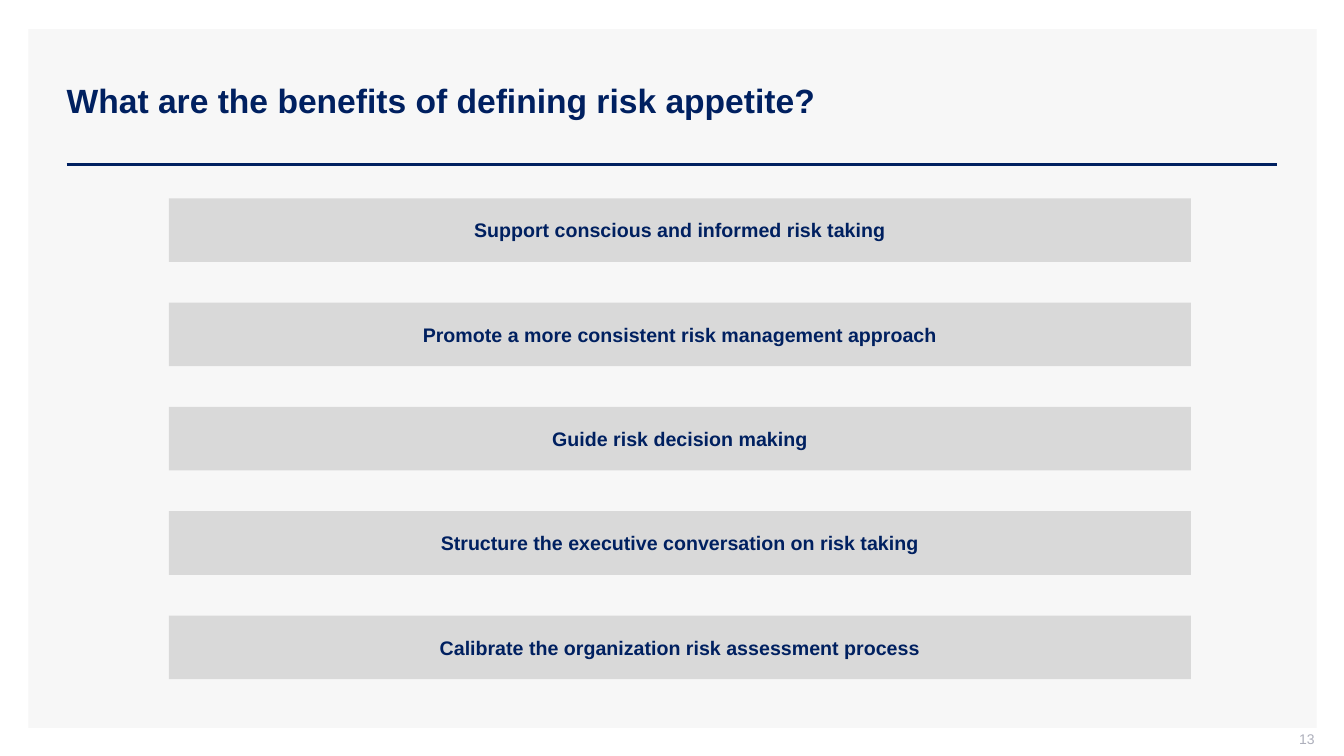
"""Build the slide on the benefits of defining risk appetite."""
from lxml import etree
from pptx import Presentation
from pptx.dml.color import RGBColor
from pptx.enum.shapes import MSO_CONNECTOR, MSO_SHAPE
from pptx.enum.text import MSO_ANCHOR, PP_ALIGN
from pptx.oxml.ns import qn
from pptx.util import Pt

TITLE = "What are the benefits of defining risk appetite?"
BENEFITS = [
    "Support conscious and informed risk taking",
    "Promote a more consistent risk management approach",
    "Guide risk decision making",
    "Structure the executive conversation on risk taking",
    "Calibrate the organization risk assessment process",
]
PAGE_NUMBER = "13"

NAVY = RGBColor(0x00, 0x20, 0x60)
PANEL_GRAY = RGBColor(0xF7, 0xF7, 0xF7)
BAR_GRAY = RGBColor(0xD9, 0xD9, 0xD9)
NUMBER_GRAY = RGBColor(0xAD, 0xAF, 0xBB)
RECTANGLE = MSO_SHAPE.RECTANGLE
STRAIGHT = MSO_CONNECTOR.STRAIGHT
MIDDLE = MSO_ANCHOR.MIDDLE
LEFT, CENTER, RIGHT = PP_ALIGN.LEFT, PP_ALIGN.CENTER, PP_ALIGN.RIGHT

PAGE_SIZE = (960, 540)
PANEL_BOX = (20.2, 20.9, 920.2, 499)
TITLE_BOX = (40.4, 28.8, 872, 85.7)
NUMBER_BOX = (723, 522, 216, 15.1)
RULE_LEFT, RULE_RIGHT, RULE_TOP = 47.7, 912.3, 117.4
BAR_LEFT, BAR_TOP, BAR_WIDTH, BAR_HEIGHT = 120.7, 141.7, 730, 45.4
BAR_PITCH = 74.5

TITLE_FONT = {"size": Pt(24), "bold": True}
BAR_FONT = {"size": Pt(14), "bold": True}
NUMBER_FONT = {"size": Pt(10), "bold": False}
BAR_SPACING = {"space_before": Pt(4), "space_after": Pt(4)}
NUMBER_INSETS = {"margin_top": 0, "margin_right": 0, "margin_bottom": Pt(3.6)}


def set_all(target, values):
    """Set every named attribute on the target."""
    for name, value in values.items():
        setattr(target, name, value)


def write(box, text, font, color, align, spacing=None):
    """Put one formatted paragraph in a box."""
    frame = box.text_frame
    set_all(frame, {"word_wrap": True, "vertical_anchor": MIDDLE})
    para = frame.paragraphs[0]
    set_all(para, {"alignment": align, **(spacing or {})})
    span = para.add_run()
    span.text = text
    set_all(span.font, {"name": "Arial", **font})
    span.font.color.rgb = color


def add_rectangle(page, bounds, color):
    """Add a flat filled rectangle."""
    box = page.shapes.add_shape(RECTANGLE, *map(Pt, bounds))
    box.shadow.inherit = False
    box.fill.solid()
    box.fill.fore_color.rgb = color
    box.line.fill.background()
    return box


def add_rule(page):
    """Add the line under the title."""
    ends = (RULE_LEFT, RULE_TOP, RULE_RIGHT, RULE_TOP)
    rule = page.shapes.add_connector(STRAIGHT, *map(Pt, ends))
    rule.line.color.rgb = NAVY
    rule.line.width = Pt(2)
    etree.SubElement(rule.element.spPr, qn("a:effectLst"))


def add_title(page):
    """Place the title in front of the panel."""
    title = page.shapes.title
    set_all(title, dict(zip(("left", "top", "width", "height"), map(Pt, TITLE_BOX))))
    write(title, TITLE, TITLE_FONT, NAVY, LEFT)
    title.element.getparent().append(title.element)


def main():
    """Assemble and save the deck."""
    deck = Presentation()
    deck.slide_width, deck.slide_height = map(Pt, PAGE_SIZE)
    page = deck.slides.add_slide(deck.slide_layouts[5])
    add_rectangle(page, PANEL_BOX, PANEL_GRAY)
    add_rule(page)
    add_title(page)
    number = page.shapes.add_textbox(*map(Pt, NUMBER_BOX))
    set_all(number.text_frame, NUMBER_INSETS)
    write(number, PAGE_NUMBER, NUMBER_FONT, NUMBER_GRAY, RIGHT)
    for index, benefit in enumerate(BENEFITS):
        top = BAR_TOP + index * BAR_PITCH
        bar = add_rectangle(page, (BAR_LEFT, top, BAR_WIDTH, BAR_HEIGHT), BAR_GRAY)
        write(bar, benefit, BAR_FONT, NAVY, CENTER, BAR_SPACING)
    deck.save("out.pptx")


if __name__ == "__main__":
    main()
